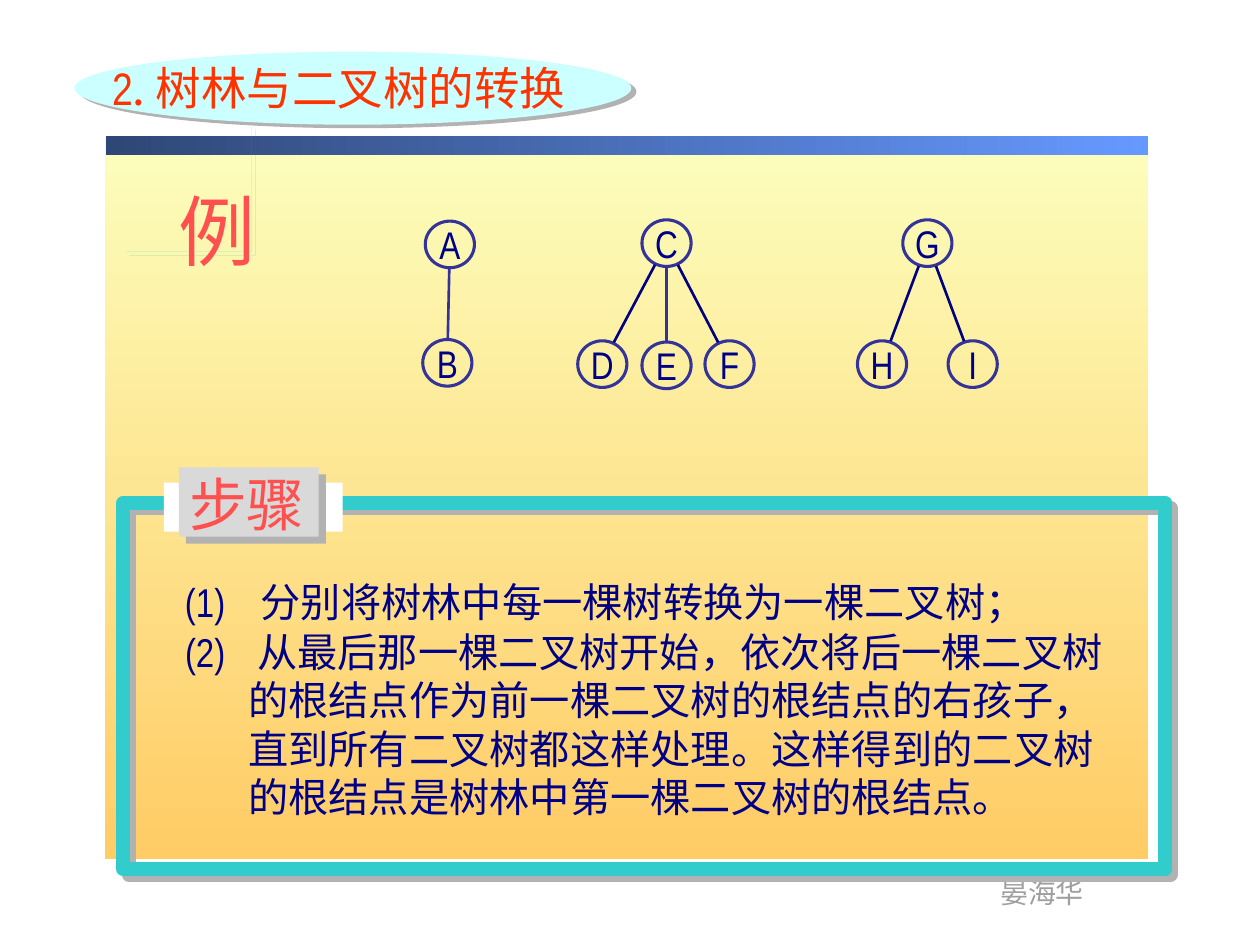
from math import hypot

from lxml import etree
from pptx import Presentation
from pptx.dml.color import RGBColor
from pptx.enum.shapes import MSO_CONNECTOR, MSO_SHAPE
from pptx.enum.text import MSO_ANCHOR, PP_ALIGN
from pptx.oxml.ns import qn
from pptx.util import Inches, Pt

RECT, OVAL = MSO_SHAPE.RECTANGLE, MSO_SHAPE.OVAL
LEFT, CENTER = PP_ALIGN.LEFT, PP_ALIGN.CENTER
TOP, MIDDLE = MSO_ANCHOR.TOP, MSO_ANCHOR.MIDDLE

# Content
TITLE = ("2", ". 树林与二叉树的转换")
EXAMPLE, STEPS, AUTHOR = "例", "步骤", "晏海华"
STEP_ONE = "(1)\t分别将树林中每一棵树转换为一棵二叉树；"
STEP_TWO = [
    " 从最后那一棵二叉树开始，依次将后一棵二叉树",
    "的根结点作为前一棵二叉树的根结点的右孩子，",
    "直到所有二叉树都这样处理。这样得到的二叉树",
    "的根结点是树林中第一棵二叉树的根结点。",
]
NODES = {  # centre of each tree node
    "A": (3.57, 1.94), "B": (3.55, 2.88),
    "C": (5.29, 1.93), "D": (4.78, 2.89), "E": (5.29, 2.9), "F": (5.79, 2.89),
    "G": (7.36, 1.93), "H": (7.0, 2.89), "I": (7.72, 2.89),
}
EDGES = ["AB", "CD", "CE", "CF", "GH", "GI"]
NODE_W, NODE_H = 0.39, 0.37
BLOB_START = (1.45, 1.55)
BLOB_CURVES = [  # two control points and an end point each
    ((1.27, 1.67), (1.35, 1.5), (1.33, 1.93)),
    ((1.37, 2.17), (1.35, 2.12), (1.61, 2.15)),
    ((1.65, 2.15), (1.68, 2.16), (1.72, 2.17)),
    ((1.76, 2.18), (1.85, 2.2), (1.85, 2.2)),
    ((1.94, 2.19), (2.02, 2.22), (2.08, 2.15)),
    ((2.12, 2.11), (2.15, 1.99), (2.15, 1.99)),
    ((2.14, 1.87), (2.17, 1.75), (2.13, 1.63)),
    ((2.12, 1.6), (2.03, 1.6), (2.03, 1.6)),
    ((1.96, 1.39), (1.14, 1.55), (1.45, 1.55)),
]

THEME = {
    "latin": "Arial Narrow", "cjk": "Noto Sans CJK SC",
    "panel": ("FCFEBC", "FFCC66"), "bar": ("2F4776", "6699FF"),
    "title": "FF3300", "title_oval": "CCFFFF", "accent": "FF5050",
    "blob": "00CCFF", "blob_shadow": "009EA1", "shadow": "B2B2B2",
    "ink": "000086", "node": "333399", "edge": "000080",
    "frame": "33CCCC", "white": "FFFFFF", "tag": "D9D9D9", "author": "9F9F9F",
    "title_pt": 26, "example_pt": 44, "steps_pt": 33,
    "body_pt": 23, "node_pt": 22, "author_pt": 16,
}

prs = Presentation()
prs.slide_width, prs.slide_height = Inches(10), Inches(7.5)
slide = prs.slides.add_slide(prs.slide_layouts[5])
shapes = slide.shapes


def color(name):
    return RGBColor.from_string(THEME[name])


def outer_shadow(effects, rgb, distance, angle):
    shadow = etree.SubElement(effects, qn("a:outerShdw"), dist=str(Pt(distance)),
                              dir=str(angle * 60000), algn="ctr", rotWithShape="0")
    etree.SubElement(shadow, qn("a:srgbClr"), val=rgb)


def style(shape, fill=None, line=None, width=1, shadow=None):
    if fill:
        shape.fill.solid()
        shape.fill.fore_color.rgb = color(fill)
    else:
        shape.fill.background()
    if line:
        shape.line.color.rgb = color(line)
        shape.line.width = Pt(width)
    else:
        shape.line.fill.background()
    shape.shadow.inherit = False
    if shadow:
        name, distance, angle = shadow
        outer_shadow(shape._element.spPr.find(qn("a:effectLst")),
                     THEME[name], distance, angle)
    return shape


def add_shape(kind, box, **look):
    return style(shapes.add_shape(kind, *map(Inches, box)), **look)


def add_gradient(box, stops, angle):
    shape = add_shape(RECT, box)
    shape.fill.gradient()
    shape.fill.gradient_angle = angle
    for stop, rgb, position in zip(shape.fill.gradient_stops, stops, (0, 1)):
        stop.color.rgb = RGBColor.from_string(rgb)
        stop.position = position


def add_run(paragraph, text, size, ink, font="latin", shadow=False):
    run = paragraph.add_run()
    run.text = text
    run.font.size = Pt(THEME[size])
    run.font.color.rgb = color(ink)
    run.font.name = THEME[font]
    props = run._r.get_or_add_rPr()
    latin = props.find(qn("a:latin"))
    latin.addnext(latin.makeelement(qn("a:ea"), {"typeface": THEME[font]}))
    if shadow:
        effects = latin.makeelement(qn("a:effectLst"), {})
        outer_shadow(effects, "000000", 2, 45)
        latin.addprevious(effects)


def first_paragraph(frame, align=LEFT, wrap=True, anchor=TOP):
    frame.word_wrap = wrap
    frame.vertical_anchor = anchor
    frame.paragraphs[0].alignment = align
    return frame.paragraphs[0]


def add_text_box(box, **layout):
    return first_paragraph(shapes.add_textbox(*map(Inches, box)).text_frame, **layout)


def hang(paragraph, indent):
    props = paragraph._p.get_or_add_pPr()
    props.set("marL", str(Inches(indent)))
    props.set("indent", str(-Inches(indent)))
    return props


# Background panel, bar and author
add_gradient((0.83, 1.1, 8.28, 5.72), THEME["panel"], 270)
add_gradient((0.84, 1.08, 8.27, 0.15), THEME["bar"], 0)
add_run(add_text_box((7.84, 6.9, 0.87, 0.37), wrap=False), AUTHOR, "author_pt", "author")

# Title in front of its oval
title_oval = add_shape(OVAL, (0.59, 0.41, 4.42, 0.58), fill="title_oval",
                       shadow=("shadow", 3.6, 34))
title = shapes.title
title.left, title.top, title.width, title.height = map(Inches, (0.79, 0.43, 4.1, 0.53))
title_oval._element.addnext(title._element)
heading = first_paragraph(title.text_frame, anchor=MIDDLE)
for text, font in zip(TITLE, ("latin", "cjk")):
    add_run(heading, text, "title_pt", "title", font, shadow=True)

# Example badge: the curves are sampled into short segments
outline, start = [], BLOB_START
for c1, c2, end in BLOB_CURVES:
    for t in (i / 10 for i in range(1, 11)):
        weights = ((1 - t) ** 3, 3 * t * (1 - t) ** 2, 3 * t * t * (1 - t), t ** 3)
        outline.append(tuple(sum(w * p[axis] for w, p in zip(weights, (start, c1, c2, end)))
                             for axis in (0, 1)))
    start = end
builder = shapes.build_freeform(*BLOB_START, scale=Inches(1))
builder.add_line_segments(outline, close=True)
style(builder.convert_to_shape(), fill="blob", shadow=("blob_shadow", 2.8, 45))
add_run(add_text_box((1.32, 1.41, 0.81, 0.83), align=CENTER, wrap=False),
        EXAMPLE, "example_pt", "accent", shadow=True)

# Tree nodes
for letter, (x, y) in NODES.items():
    node = add_shape(OVAL, (x - NODE_W / 2, y - NODE_H / 2, NODE_W, NODE_H),
                     line="node", width=1.75)
    label = first_paragraph(node.text_frame, CENTER, wrap=False, anchor=MIDDLE)
    add_run(label, letter, "node_pt", "ink")

# Tree edges run from rim to rim
for parent, child in EDGES:
    (x1, y1), (x2, y2) = NODES[parent], NODES[child]
    trim = NODE_W / 2 / hypot(x2 - x1, y2 - y1)
    dx, dy = (x2 - x1) * trim, (y2 - y1) * trim
    edge = shapes.add_connector(MSO_CONNECTOR.STRAIGHT,
                                *map(Inches, (x1 + dx, y1 + dy, x2 - dx, y2 - dy)))
    edge.line.color.rgb = color("node" if abs(dx) < 0.01 else "edge")
    edge.line.width = Pt(1.5)
    etree.SubElement(edge._element.spPr, qn("a:effectLst"))

# Steps
step_one = add_text_box((1.37, 4.53, 7.7, 0.48))
hang(step_one, 0.6)
add_run(step_one, STEP_ONE, "body_pt", "ink")
step_two = add_text_box((1.37, 4.93, 7.95, 1.64))
etree.SubElement(hang(step_two, 0.5), qn("a:buAutoNum"), type="arabicParenBoth", startAt="2")
for number, text in enumerate(STEP_TWO):
    if number:
        step_two.add_line_break()
    add_run(step_two, text, "body_pt", "ink")

# Frame and its tag
add_shape(RECT, (0.98, 3.99, 8.27, 2.91), line="frame", width=8, shadow=("shadow", 4.2, 45))
add_shape(RECT, (1.3, 3.83, 1.42, 0.39), fill="white")
add_shape(RECT, (1.42, 3.71, 1.11, 0.55), fill="tag", shadow=("shadow", 5.7, 45))
add_run(add_text_box((1.4, 3.67, 1.12, 0.65), align=CENTER, wrap=False),
        STEPS, "steps_pt", "accent", shadow=True)

prs.save("out.pptx")
